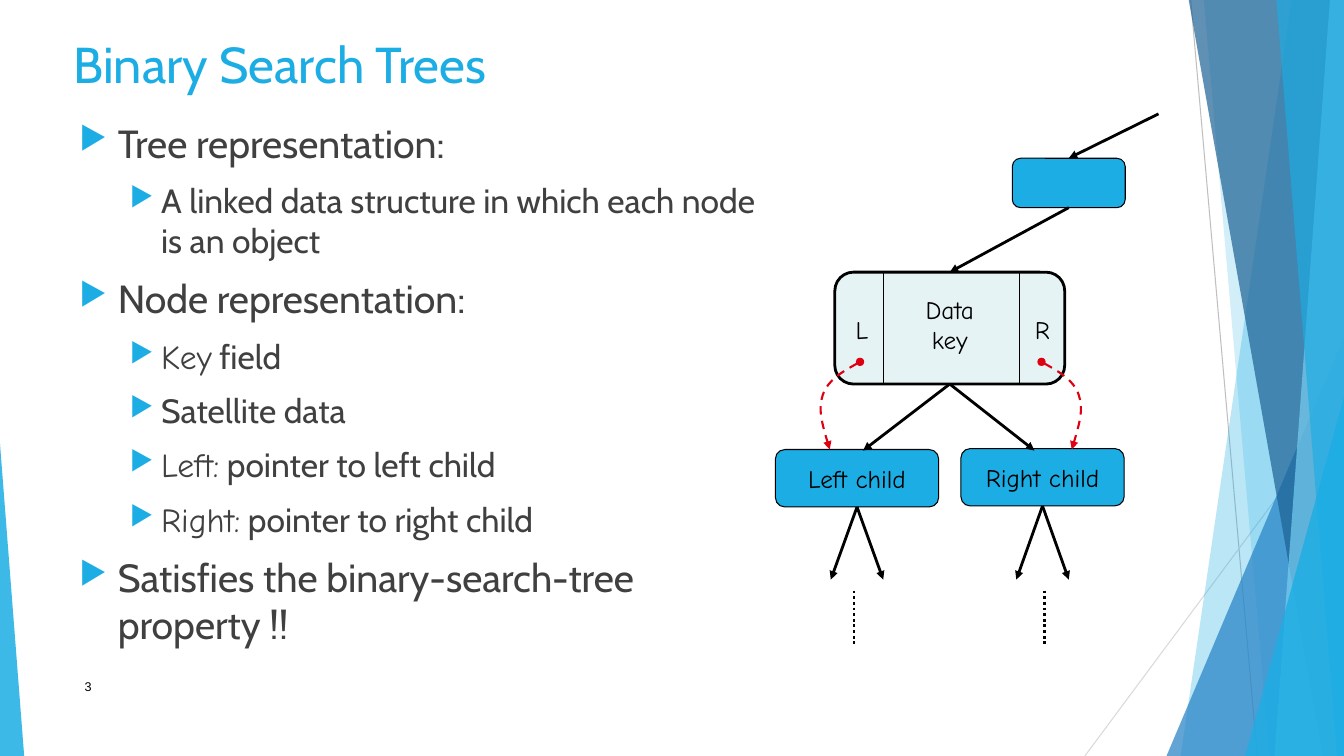
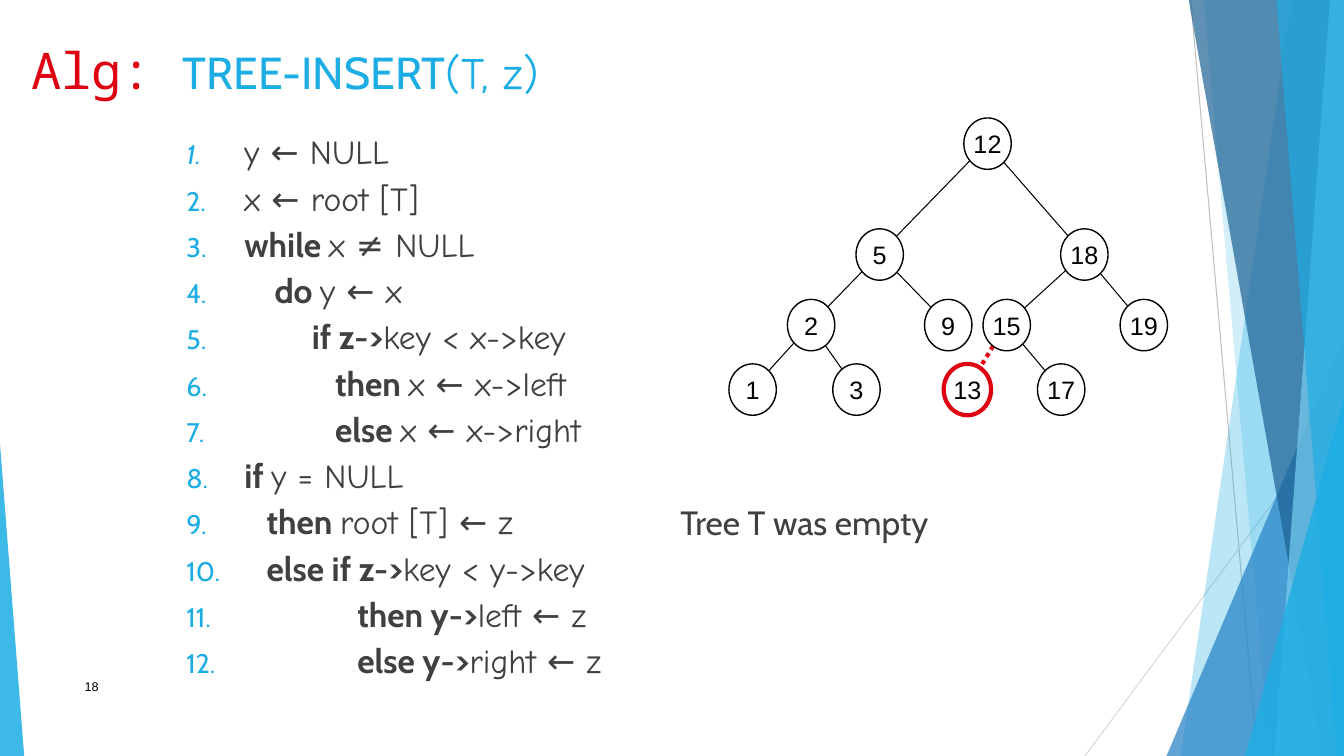
"""Build two slides on binary search trees."""
from dataclasses import dataclass
from typing import Any, NamedTuple, Optional

from lxml import etree
from pptx import Presentation
from pptx import util as u
from pptx.dml import color as col
from pptx.enum import dml, shapes, text
from pptx.oxml import ns

PX = 9144
WIDE, HIGH = 1333, 750
RGB = col.RGBColor
SKY = RGB(0x1C, 0xAD, 0xE4)
BLUE = RGB(0x26, 0x83, 0xC6)
NAVY = RGB(0x1D, 0x62, 0x94)
PALE = RGB(0x77, 0xCE, 0xEF)
MIST = RGB(0xE5, 0xF3, 0xF5)
RED = RGB(0xDD, 0x01, 0x11)
BLACK = RGB(0, 0, 0)
WHITE = RGB(0xFF, 0xFF, 0xFF)
GREY = RGB(0x40, 0x40, 0x40)
ASH = RGB(0xBF, 0xBF, 0xBF)
FOG = RGB(0xD9, 0xD9, 0xD9)
SANS, HAND, MONO, PLAIN = "Cabin", "Comic Neue", "Noto Sans Mono", "Arial"
KIND = shapes.MSO_SHAPE
MID = text.MSO_ANCHOR.MIDDLE
CENTER = text.PP_ALIGN.CENTER
DOTS = dml.MSO_LINE.ROUND_DOT
DASH = dml.MSO_LINE.DASH


class Box(NamedTuple):
    x: int
    y: int
    w: int
    h: int


class Run(NamedTuple):
    words: str
    face: str = SANS
    size: int = 24
    tint: RGB = GREY
    bold: bool = False
    slant: bool = False


class Pen(NamedTuple):
    tint: RGB = BLACK
    width: float = 2
    dash: Any = None
    head: str = ""
    tail: str = ""


class Band(NamedTuple):
    top: int
    foot: int
    tint: RGB
    alpha: int


class Wedge(NamedTuple):
    box: Box
    lean: int
    tint: RGB
    alpha: int


@dataclass
class Para:
    runs: list[Run]
    left: int = 0
    hang: int = 0
    mark: str = ""
    fmt: Optional[dict[str, Any]] = None


ARROW = Pen(tail="triangle")
THIN = Pen(width=0.75)
DECOR = (
    Band(1281, 1171, SKY, 30),
    Band(1194, 1259, SKY, 20),
    Wedge(Box(1157, 334, 176, 416), 1, BLUE, 72),
    Band(1179, 1312, NAVY, 70),
    Band(1319, 1264, PALE, 70),
    Band(1266, 1326, SKY, 65),
    Wedge(Box(1235, 394, 98, 356), 1, SKY, 80),
    Wedge(Box(0, 440, 24, 310), 0, SKY, 85),
)


def put(item: Any, fmt: dict[str, Any]) -> None:
    for key, val in fmt.items():
        setattr(item, key, val)


def tag(up: Any, name: str, **attrs: str) -> Any:
    return etree.SubElement(up, ns.qn(name), attrs)


def scale(nums: Any) -> list[int]:
    return [n * PX for n in nums]


def paint(shape: Any, tint: RGB, alpha: int = 100) -> None:
    shape.shadow.inherit = False
    shape.fill.solid()
    shape.fill.fore_color.rgb = tint
    shape.line.fill.background()
    if alpha < 100:
        fill = shape.element.spPr.find(ns.qn("a:solidFill"))
        tag(fill[0], "a:alpha", val=str(alpha * 1000))


def stroke(shape: Any, pen: Pen) -> None:
    shape.line.color.rgb = pen.tint
    shape.line.width = u.Pt(pen.width)
    if pen.dash:
        shape.line.dash_style = pen.dash
    ln = shape.element.spPr.find(ns.qn("a:ln"))
    for name, style in (("a:headEnd", pen.head), ("a:tailEnd", pen.tail)):
        if style:
            tag(ln, name, type=style)


def write(frame: Any, paras: list[Para], wrap: bool, anchor: Any = None) -> None:
    put(frame, {"word_wrap": wrap, "vertical_anchor": anchor})
    for i, para in enumerate(paras):
        line = frame.paragraphs[0] if i == 0 else frame.add_paragraph()
        put(line, para.fmt or {})
        for part in para.runs:
            run = line.add_run()
            run.text = part.words
            put(run.font, {"name": part.face, "size": u.Pt(part.size),
                           "bold": part.bold, "italic": part.slant})
            run.font.color.rgb = part.tint
        if para.mark:
            prop = line._p.get_or_add_pPr()
            prop.set("marL", str(para.left * PX))
            prop.set("indent", str(-para.hang * PX))
            tag(tag(prop, "a:buClr"), "a:srgbClr", val=str(SKY))
            tag(prop, "a:buSzPct", val="80000")
            if para.mark == "1.":
                tag(prop, "a:buAutoNum", type="arabicPeriod")
            else:
                tag(prop, "a:buChar", char=para.mark)


def label(slide: Any, box: Box, paras: list[Para], wrap: bool = True, anchor: Any = None) -> None:
    write(slide.shapes.add_textbox(*scale(box)).text_frame, paras, wrap, anchor)


def block(slide: Any, kind: Any, box: Box, fill: RGB, pen: Pen, run: Optional[Run] = None) -> Any:
    shape = slide.shapes.add_shape(kind, *scale(box))
    paint(shape, fill)
    stroke(shape, pen)
    if run:
        write(shape.text_frame, [Para([run], fmt={"alignment": CENTER})], False, MID)
    return shape


def link(slide: Any, ends: tuple[int, int, int, int], pen: Pen,
         start: Any = None, stop: Any = None) -> None:
    line = slide.shapes.add_connector(shapes.MSO_CONNECTOR.STRAIGHT, *scale(ends))
    stroke(line, pen)
    tag(line.element.spPr, "a:effectLst")
    if start is not None:
        line.begin_connect(start, 2)
    if stop is not None:
        line.end_connect(stop, 0)


def trace(slide: Any, dots: list[tuple[int, int]], close: bool) -> Any:
    form = slide.shapes.build_freeform(*dots[0], scale=PX)
    form.add_line_segments(dots[1:], close=close)
    return form.convert_to_shape()


def curve(slide: Any, dots: list[tuple[int, int]], pen: Pen) -> None:
    shape = trace(slide, dots, False)
    shape.shadow.inherit = False
    shape.fill.background()
    stroke(shape, pen)
    steps = list(shape.element.iter(ns.qn("a:lnTo")))
    for i in range(0, len(steps), 3):
        bend = tag(steps[i].getparent(), "a:cubicBezTo")
        for step in steps[i:i + 3]:
            bend.append(step[0])
            step.getparent().remove(step)


def base(deck: Any, title: list[Run], spot: tuple[int, int], page: str) -> Any:
    slide = deck.slides.add_slide(deck.slide_layouts[6])
    link(slide, (1181, 0, 1247, HIGH), Pen(ASH, 0.75))
    link(slide, (WIDE, 404, 1076, HIGH), Pen(FOG, 0.75))
    for part in DECOR:
        if isinstance(part, Band):
            dots = [(part.top, 0), (WIDE, 0), (WIDE, HIGH), (part.foot, HIGH)]
            shape = trace(slide, dots, True)
        else:
            shape = slide.shapes.add_shape(KIND.ISOSCELES_TRIANGLE, *scale(part.box))
            shape.adjustments[0] = part.lean
        paint(shape, part.tint, part.alpha)
    label(slide, Box(74, 661, 689, 40), [Para([Run(page, PLAIN, 9, BLACK)])], anchor=MID)
    label(slide, Box(*spot, 940, 144), [Para(title)])
    return slide


def point(level: int, *runs: Run) -> Para:
    left, hang = ((38, 38), (81, 31))[level]
    return Para(list(runs), left, hang, "▶", {"space_before": u.Pt(10)})


def nodes(deck: Any) -> None:
    slide = base(deck, [Run("Binary Search Trees", size=36, tint=SKY)], (63, 28), "3")
    label(slide, Box(69, 113, 707, 548), [
        point(0, Run("Tree representation:", size=28)),
        point(1, Run("A linked data structure in which each node is an object")),
        point(0, Run("Node representation:", size=28)),
        point(1, Run("Key", HAND), Run(" field")),
        point(1, Run("Satellite data")),
        point(1, Run("Left:", HAND), Run(" pointer to left child")),
        point(1, Run("Right:", HAND), Run(" pointer to right child")),
        point(0, Run("Satisfies the binary-search-tree property !!", size=28)),
    ])
    card = KIND.ROUNDED_RECTANGLE
    root = block(slide, card, Box(1004, 157, 112, 49), SKY, THIN)
    node = block(slide, card, Box(828, 270, 228, 111), MIST, Pen())
    for x in (876, 1011):
        link(slide, (x, 270, x, 381), Pen(width=1))
    for box, lines in ((Box(838, 307, 34, 40), ["L"]), (Box(1016, 307, 36, 40), ["R"]),
                       (Box(904, 287, 76, 71), ["Data", "key"])):
        label(slide, box, [Para([Run(s, HAND, 18, BLACK)], fmt={"alignment": CENTER})
                           for s in lines], False)
    link(slide, (1149, 113, 1060, 157), ARROW, stop=root)
    link(slide, (1060, 206, 942, 270), ARROW, root, node)
    for x, y, name, tip, dot in ((769, 446, "Left child", 856, 847),
                                 (953, 445, "Right child", 1026, 1036)):
        child = block(slide, card, Box(x, y, 162, 57), SKY, THIN, Run(name, HAND, 18, BLACK))
        link(slide, (942, 381, tip, 447), ARROW, start=node)
        for step in (-26, 26):
            link(slide, (x + 81, y + 57, x + 81 + step, 575), ARROW, start=child)
        link(slide, (dot, 586, dot, 640), Pen(dash=DOTS))
    bend = [(853, 359), (837, 368), (821, 377), (816, 392), (811, 406), (817, 426), (823, 446)]
    for dots in (bend, [(1886 - x, y) for x, y in bend]):
        curve(slide, dots, Pen(RED, 1.5, DASH, "oval", "triangle"))


def insert(deck: Any) -> None:
    title = [Run("Alg: ", MONO, 36, RED), Run("TREE-INSERT", SANS, 32, SKY),
             Run("(T, z)", HAND, 32, SKY)]
    slide = base(deck, title, (21, 34), "18")
    code = (
        (0, "", "y ← NULL"), (0, "", "x ← root [T]"), (0, "while ", "x ≠ NULL"),
        (4, "do ", "y ← x"), (9, "if z->", "key < x->key"), (12, "then ", "x ← x->left"),
        (12, "else ", "x ← x->right"), (0, "if ", "y = NULL"), (3, "then ", "root [T] ← z"),
        (3, "else if z->", "key < y->key"), (15, "then y->", "left ← z"),
        (15, "else y->", "right ← z"),
    )
    paras = []
    for i, (tab, word, rest) in enumerate(code):
        left = 50 + tab * 15 // 2
        runs = [Run(" ", slant=i == 0), Run(word, bold=True), Run(rest, HAND)]
        paras.append(Para([r for r in runs if r.words], left, left, "1.",
                          {"line_spacing": 0.8, "space_before": u.Pt(10)}))
    label(slide, Box(175, 133, 480, 589), paras)
    label(slide, Box(665, 493, 300, 50), [Para([Run("Tree T was empty")])])
    spots = {2: (781, 297), 1: (723, 361), 3: (826, 361), 5: (849, 227), 9: (917, 297),
             12: (956, 117), 18: (1052, 227), 15: (975, 297), 19: (1111, 297),
             17: (1029, 361), 13: (936, 361)}
    edges = ((15, 13), (15, 17), (18, 15), (2, 3), (5, 9), (18, 19), (12, 18),
             (2, 1), (5, 2), (12, 5))
    w, h = 47, 51
    for ends in edges:
        (a, b), (c, d) = (spots[key] for key in ends)
        link(slide, (a + w // 2, b + h // 2, c + w // 2, d + h // 2),
             Pen(RED, 3, DOTS) if 13 in ends else THIN)
    for key, spot in spots.items():
        block(slide, KIND.OVAL, Box(*spot, w, h), WHITE,
              Pen(RED, 3) if key == 13 else Pen(width=1), Run(str(key), PLAIN, 18, BLACK))


def main() -> None:
    deck = Presentation()
    put(deck, {"slide_width": WIDE * PX, "slide_height": HIGH * PX})
    nodes(deck)
    insert(deck)
    deck.save("out.pptx")


if __name__ == "__main__":
    main()
